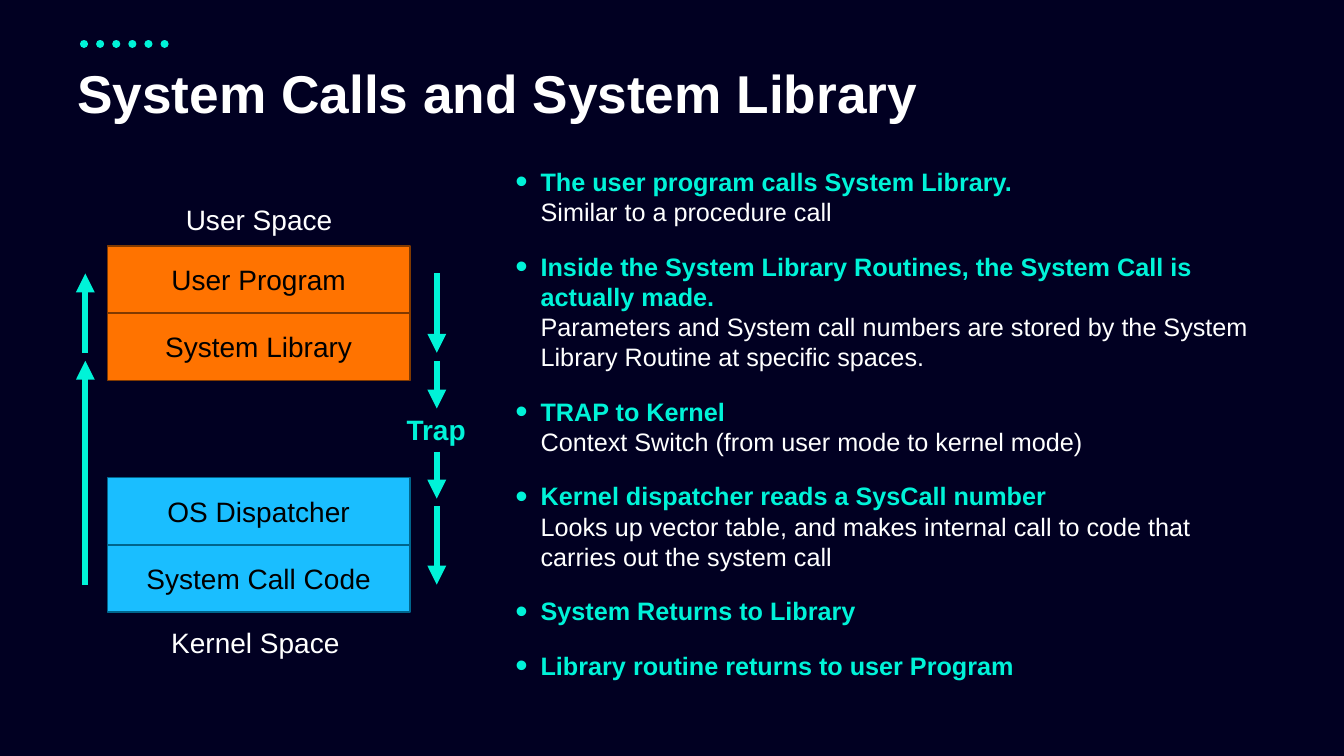
"""Build the slide on system calls and the system library."""
from lxml.etree import SubElement as Sub
from pptx import Presentation
from pptx.dml.color import RGBColor as Rgb
from pptx.enum.dml import MSO_LINE as Dash
from pptx.enum.shapes import MSO_CONNECTOR as Link, MSO_SHAPE as Form
from pptx.enum.text import MSO_ANCHOR as Anchor, MSO_AUTO_SIZE as Fit, PP_ALIGN as Align
from pptx.oxml.ns import qn
from pptx.util import Inches, Pt

HUES = {"night": "010022", "mint": "00F3D8", "white": "FFFFFF", "black": "000000",
        "orange": "FF7300", "rust": "803900", "sky": "1ABEFF", "navy": "00658C"}
TONE = {name: Rgb.from_string(code) for name, code in HUES.items()}

deck = Presentation()
deck.slide_width, deck.slide_height = Inches(13.333), Inches(7.5)
unit = deck.slide_width / 20
slide = deck.slides.add_slide(deck.slide_layouts[1])
slide.background.fill.solid()
slide.background.fill.fore_color.rgb = TONE["night"]
shapes = slide.shapes


def write(para, text, tone, size, bold=False):
    """Add a run of text to a paragraph."""
    run = para.add_run()
    run.text = text
    for key, value in {"name": "Arial", "size": Pt(size), "bold": bold}.items():
        setattr(run.font, key, value)
    run.font.color.rgb = TONE[tone]


def draw(start, end, width):
    """Draw a mint line between two grid points."""
    ends = [round(n * unit) for n in (*start, *end)]
    wire = shapes.add_connector(Link.STRAIGHT, *ends)
    wire.line.width = Pt(width)
    wire.line.color.rgb = TONE["mint"]
    Sub(wire._element.spPr, qn("a:effectLst"))
    return wire.line


dots = draw((1.25, 0.65), (2.5, 0.65), 5.75)
dots.dash_style = Dash.ROUND_DOT
dots._get_or_add_ln().set("cap", "rnd")

title, body = shapes.title, slide.placeholders[1]
for holder, area in ((title, (1, 0.92, 17.64, 1.02)), (body, (7.52, 2.4, 11.22, 7.79))):
    for key, n in zip(("left", "top", "width", "height"), area):
        setattr(holder, key, round(n * unit))
    holder.text_frame.auto_size = Fit.NONE
head = title.text_frame.paragraphs[0]
head.alignment, head.line_spacing = Align.LEFT, 0.9
write(head, "System Calls and System Library", "white", 38, True)

STEPS = [
    ("The user program calls System Library.", "Similar to a procedure call"),
    ("Inside the System Library Routines, the System Call is actually made.",
     "Parameters and System call numbers are stored by the System Library Routine"
     " at specific spaces."),
    ("TRAP to Kernel", "Context Switch (from user mode to kernel mode)"),
    ("Kernel dispatcher reads a SysCall number",
     "Looks up vector table, and makes internal call to code that carries out"
     " the system call"),
    ("System Returns to Library", ""),
    ("Library routine returns to user Program", ""),
]
for i, (step, note) in enumerate(STEPS):
    para = body.text_frame.add_paragraph() if i else body.text_frame.paragraphs[0]
    props = para._p.get_or_add_pPr()
    props.set("marL", str(Inches(0.25)))
    props.set("indent", str(-Inches(0.25)))
    Sub(Sub(props, qn("a:buClr")), qn("a:srgbClr"), val=HUES["mint"])
    Sub(props, qn("a:buSzPct"), val="140000")
    Sub(props, qn("a:buFont"), typeface="Arial")
    Sub(props, qn("a:buChar"), char="•")
    para.space_before = Pt(17.25 if i else 0)
    write(para, step, "mint", 18, True)
    if note:
        para.add_line_break()
        Sub(para._p[-1], qn("a:rPr"), sz="1800")
        write(para, note, "white", 18)

STACKS = [
    (3.66, "orange", "rust", ("User Program", "System Library")),
    (7.11, "sky", "navy", ("OS Dispatcher", "System Call Code")),
]
for top, fill, edge, names in STACKS:
    for row, name in enumerate(names):
        area = [round(n * unit) for n in (1.6, top + row, 4.5, 1)]
        box = shapes.add_shape(Form.RECTANGLE, *area)
        box.shadow.inherit = False
        box.fill.solid()
        box.fill.fore_color.rgb = TONE[fill]
        box.line.color.rgb = TONE[edge]
        box.line.width = Pt(1)
        box.text_frame.vertical_anchor = Anchor.MIDDLE
        para = box.text_frame.paragraphs[0]
        para.alignment = Align.CENTER
        write(para, name, "black", 20)

ROUTES = {6.5: [(4.07, 5.25), (5.37, 6.08), (6.72, 7.42), (7.53, 8.7)],
          1.27: [(8.7, 5.37), (5.25, 4.07)]}
for x, spans in ROUTES.items():
    for start, end in spans:
        line = draw((x, start), (x, end), 4.5)
        Sub(line._get_or_add_ln(), qn("a:tailEnd"), type="triangle")

LABELS = [
    ("User Space", (2.4, 2.94, 2.91, 0.66), "white", False, Align.CENTER),
    ("Kernel Space", (2.4, 9.24, 2.91, 0.66), "white", False, Align.LEFT),
    ("Trap", (5.8, 6.06, 1.38, 0.66), "mint", True, Align.CENTER),
]
for text, area, tone, bold, align in LABELS:
    label = shapes.add_textbox(*[round(n * unit) for n in area])
    label.text_frame.word_wrap = True
    para = label.text_frame.paragraphs[0]
    para.alignment = align
    write(para, text, tone, 20, bold)

deck.save("out.pptx")
